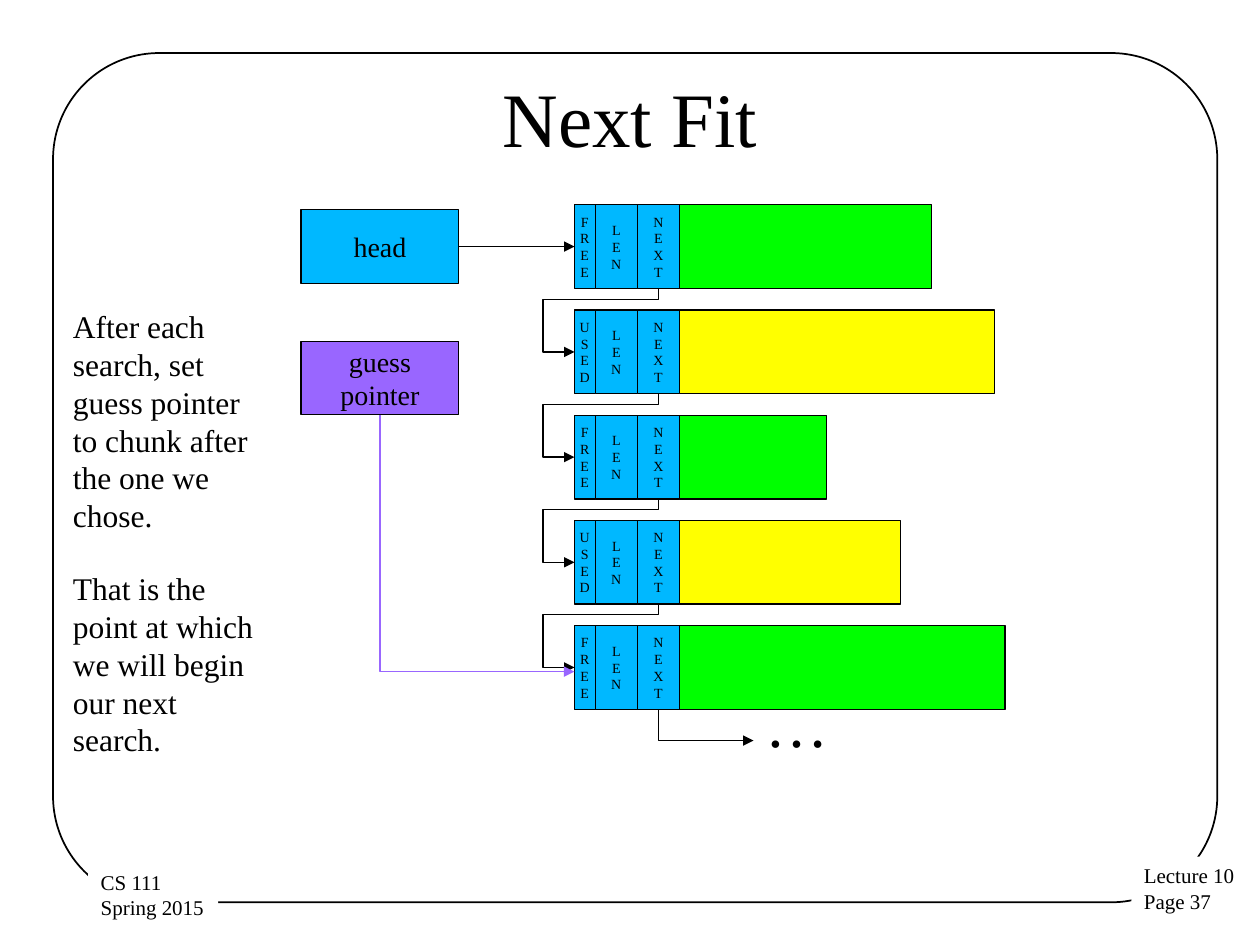
from dataclasses import dataclass

from lxml import etree
from pptx import Presentation
from pptx.dml.color import RGBColor
from pptx.enum.shapes import MSO_CONNECTOR, MSO_SHAPE
from pptx.enum.text import MSO_ANCHOR, PP_ALIGN
from pptx.oxml.ns import qn
from pptx.util import Cm, Pt

RECT, ROUND = MSO_SHAPE.RECTANGLE, MSO_SHAPE.ROUNDED_RECTANGLE
STRAIGHT, ELBOW = MSO_CONNECTOR.STRAIGHT, MSO_CONNECTOR.ELBOW
LEFT, CENTER = PP_ALIGN.LEFT, PP_ALIGN.CENTER
TOP, MIDDLE = MSO_ANCHOR.TOP, MSO_ANCHOR.MIDDLE

BLACK = RGBColor(0x00, 0x00, 0x00)
WHITE = RGBColor(0xFF, 0xFF, 0xFF)
BLUE = RGBColor(0x00, 0xB8, 0xFF)
GREEN = RGBColor(0x00, 0xFF, 0x00)
YELLOW = RGBColor(0xFF, 0xFF, 0x00)
PURPLE = RGBColor(0x99, 0x66, 0xFF)
FONT = "Times New Roman"

# Grid of the memory chunks, in cm
CHUNK_X, CHUNK_Y = 11.58, 4.13
CHUNK_H, PITCH = 1.69, 2.12
TAG_W, FIELD_W = 0.42, 0.85
NEXT_X = CHUNK_X + TAG_W + 1.5 * FIELD_W

# Boxes that point into the list, in cm
BOX_X, BOX_W, BOX_H = 6.07, 3.18, 1.48


@dataclass
class Chunk:
    tag: str
    width: float
    color: RGBColor


@dataclass
class Label:
    lines: list[str]
    x: float
    y: float
    w: float
    h: float
    size: int
    align: PP_ALIGN = LEFT
    anchor: MSO_ANCHOR = TOP
    wrap: bool = True
    fill: RGBColor | None = None


CHUNKS = [
    Chunk("FREE", 5.08, GREEN),
    Chunk("USED", 6.35, YELLOW),
    Chunk("FREE", 2.96, GREEN),
    Chunk("USED", 4.45, YELLOW),
    Chunk("FREE", 6.56, GREEN),
]

LABELS = [
    Label(["Lecture 10", "Page 37"], 22.81, 17.27, 2.36, 1.3, 12, wrap=False, fill=WHITE),
    Label(["CS 111", "Spring 2015"], 1.78, 17.4, 2.62, 1.3, 12, wrap=False, fill=WHITE),
    Label(["Next Fit"], 1.27, 0.76, 22.86, 3.18, 44, CENTER, MIDDLE),
    Label(["…"], 15.19, 13.67, 2.74, 1.78, 36),
    Label(["After each search, set guess pointer to chunk after the one we chose."],
          1.22, 6.07, 4.45, 4.83, 18),
    Label(["That is the point at which we will begin our next search."],
          1.22, 11.35, 4.45, 4.06, 18),
]


def write(shape, lines: list[str], size: int, align=CENTER, anchor=MIDDLE, wrap=False) -> None:
    frame = shape.text_frame
    frame.word_wrap = wrap
    frame.vertical_anchor = anchor
    for i, line in enumerate(lines):
        para = frame.add_paragraph() if i else frame.paragraphs[0]
        para.alignment = align
        run = para.add_run()
        run.text = line
        run.font.name = FONT
        run.font.size = Pt(size)
        run.font.color.rgb = BLACK


def box(shapes, x: float, y: float, w: float, h: float, color: RGBColor):
    shape = shapes.add_shape(RECT, Cm(x), Cm(y), Cm(w), Cm(h))
    shape.shadow.inherit = False
    shape.fill.solid()
    shape.fill.fore_color.rgb = color
    shape.line.color.rgb = BLACK
    shape.line.width = Pt(0.75)
    return shape


def label(shapes, item: Label) -> None:
    shape = shapes.add_textbox(Cm(item.x), Cm(item.y), Cm(item.w), Cm(item.h))
    if item.fill is not None:
        shape.fill.solid()
        shape.fill.fore_color.rgb = item.fill
    write(shape, item.lines, item.size, item.align, item.anchor, item.wrap)


def arrow(shapes, kind, x1: float, y1: float, x2: float, y2: float, color: RGBColor):
    link = shapes.add_connector(kind, Cm(x1), Cm(y1), Cm(x2), Cm(y2))
    link.line.color.rgb = color
    link.line.width = Pt(0.75)
    etree.SubElement(link.line._get_or_add_ln(), qn("a:tailEnd"), type="triangle")
    etree.SubElement(link._element.spPr, qn("a:effectLst"))
    return link


def bend(shapes, x1: float, y1: float, x2: float, y2: float, color: RGBColor = BLACK) -> None:
    """Leave downward, then turn right, or loop round to a target on the left."""
    mid_x, mid_y = (x1 + x2) / 2, (y1 + y2) / 2
    w, h = y2 - y1, abs(x2 - x1)  # size before the quarter turn
    left, top = mid_x - w / 2, mid_y - h / 2
    link = arrow(shapes, ELBOW, left, top, left + w, top + h, color)
    props = link._element.spPr
    frame, geom = props.find(qn("a:xfrm")), props.find(qn("a:prstGeom"))
    if x2 > x1:
        frame.set("rot", "16200000")
        frame.set("flipH", "1")
        geom.set("prst", "bentConnector2")
    else:
        frame.set("rot", "5400000")
        geom.set("prst", "bentConnector4")
        guides = geom.find(qn("a:avLst"))
        for name, value in (("adj1", 16700), ("adj2", 137500)):
            etree.SubElement(guides, qn("a:gd"), name=name, fmla=f"val {value}")


def chunk(shapes, item: Chunk, y: float) -> None:
    x = CHUNK_X
    for text, w in ((item.tag, TAG_W), ("LEN", FIELD_W), ("NEXT", FIELD_W)):
        write(box(shapes, x, y, w, CHUNK_H, BLUE), list(text), 8)
        x += w
    box(shapes, x, y, item.width, CHUNK_H, item.color)


def main() -> None:
    deck = Presentation()
    deck.slide_width, deck.slide_height = Cm(25.4), Cm(19.05)
    shapes = deck.slides.add_slide(deck.slide_layouts[6]).shapes

    # Page border
    edge = shapes.add_shape(ROUND, Cm(1.07), Cm(1.07), Cm(23.47), Cm(17.12))
    edge.adjustments[0] = 0.125
    edge.shadow.inherit = False
    edge.fill.background()
    edge.line.color.rgb = BLACK
    edge.line.width = Pt(1)

    # Title, footers and side notes
    for item in LABELS:
        label(shapes, item)

    # Chunks and the links between them
    tops = [CHUNK_Y + i * PITCH for i in range(len(CHUNKS))]
    for item, y in zip(CHUNKS, tops):
        chunk(shapes, item, y)
    for y, below in zip(tops, tops[1:]):
        bend(shapes, NEXT_X, y + CHUNK_H, CHUNK_X, below + CHUNK_H / 2)
    bend(shapes, NEXT_X, tops[-1] + CHUNK_H, 15.19, 14.93)

    # Head and guess pointer
    write(box(shapes, BOX_X, 4.23, BOX_W, BOX_H, BLUE), ["head"], 16)
    head_y = 4.23 + BOX_H / 2
    arrow(shapes, STRAIGHT, BOX_X + BOX_W, head_y, CHUNK_X, head_y, BLACK)
    write(box(shapes, BOX_X, 6.88, BOX_W, BOX_H, PURPLE), ["guess", "pointer"], 16)
    bend(shapes, BOX_X + BOX_W / 2, 6.88 + BOX_H, CHUNK_X, 13.54, PURPLE)

    deck.save("out.pptx")


if __name__ == "__main__":
    main()
